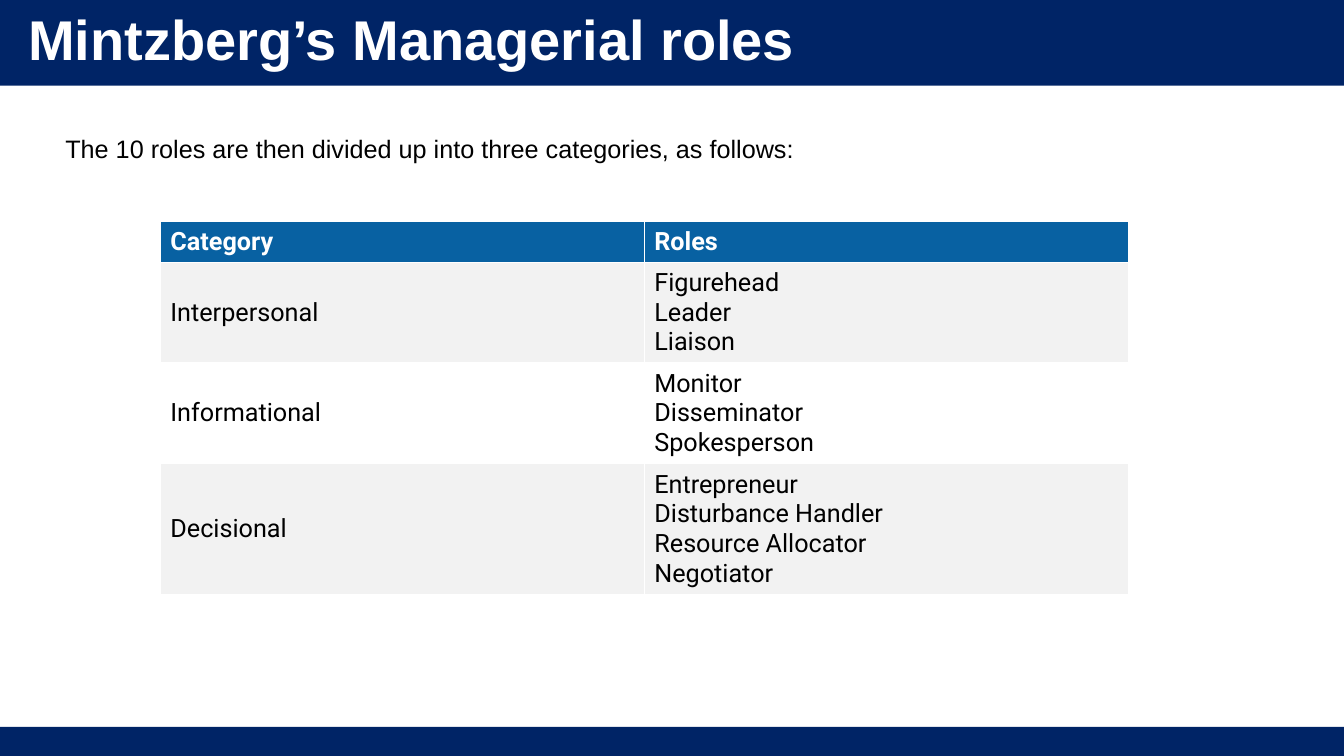
from lxml.etree import SubElement
from pptx import Presentation
from pptx.dml.color import RGBColor
from pptx.enum.shapes import MSO_SHAPE
from pptx.enum.text import MSO_ANCHOR, MSO_AUTO_SIZE, PP_ALIGN
from pptx.oxml.ns import qn
from pptx.util import Inches, Pt

TITLE = "Mintzberg’s Managerial roles"
INTRO = "The 10 roles are then divided up into three categories, as follows:"
HEADER = ("Category", "Roles")
ROLES = {
    "Interpersonal": ["Figurehead", "Leader", "Liaison"],
    "Informational": ["Monitor", "Disseminator", "Spokesperson"],
    "Decisional": ["Entrepreneur", "Disturbance Handler", "Resource Allocator", "Negotiator"],
}
BANDS = [(0, 0.85), (7.21, 0.29)]
ROW_HEIGHTS = [0.4, 1, 1, 1.3]
COLUMN_WIDTH = 4.8

NAVY = RGBColor(0x00, 0x24, 0x66)
BLUE = RGBColor(0x08, 0x61, 0xA2)
GREY = RGBColor(0xF2, 0xF2, 0xF2)
WHITE = RGBColor(0xFF, 0xFF, 0xFF)
BLACK = RGBColor(0x00, 0x00, 0x00)

TITLE_FONT = {"name": "Arial", "size": Pt(40), "bold": True}
INTRO_FONT = {"name": "Arial", "size": Pt(18), "bold": False}
HEADER_FONT = {"name": "Roboto", "size": Pt(18), "bold": True}
BODY_FONT = {"name": "Roboto", "size": Pt(18), "bold": False}


def write(tf, text, font, color):
    tf.text = text
    p = tf.paragraphs[0]
    p.alignment = PP_ALIGN.LEFT
    for r in p.runs:
        for name, value in font.items():
            setattr(r.font, name, value)
        r.font.color.rgb = color
    return p


def add_borders(cell):
    tcPr = cell._tc.get_or_add_tcPr()
    for side in ("lnL", "lnR", "lnT", "lnB"):
        line = SubElement(tcPr, qn(f"a:{side}"), w=str(Pt(0.75)))
        fill = SubElement(line, qn("a:solidFill"))
        SubElement(fill, qn("a:srgbClr"), val=str(WHITE))


def add_bands(s):
    for top, height in BANDS:
        sp = s.shapes.add_shape(MSO_SHAPE.RECTANGLE, 0, Inches(top), Inches(13.33), Inches(height))
        sp.shadow.inherit = False
        sp.fill.solid()
        sp.fill.fore_color.rgb = NAVY
        sp.line.fill.background()
        s.shapes._spTree.insert(2, sp._element)


def add_title(s):
    title = s.shapes.title
    title.left, title.top, title.width, title.height = map(Inches, (0.18, 0.14, 7.82, 0.57))
    tf = title.text_frame
    tf.vertical_anchor = MSO_ANCHOR.MIDDLE
    tf.auto_size = MSO_AUTO_SIZE.NONE
    write(tf, TITLE, TITLE_FONT, WHITE).line_spacing = 0.9


def add_roles_table(s):
    rows = [HEADER] + [(category, "\v".join(roles)) for category, roles in ROLES.items()]
    size = map(Inches, (1.59, 2.2, COLUMN_WIDTH * len(HEADER), sum(ROW_HEIGHTS)))
    table = s.shapes.add_table(len(rows), len(HEADER), *size).table
    for column in table.columns:
        column.width = Inches(COLUMN_WIDTH)
    for i, (row, height) in enumerate(zip(rows, ROW_HEIGHTS)):
        table.rows[i].height = Inches(height)
        font, color = (HEADER_FONT, WHITE) if i == 0 else (BODY_FONT, BLACK)
        fill = BLUE if i == 0 else GREY if i % 2 else WHITE
        for j, text in enumerate(row):
            cell = table.cell(i, j)
            cell.vertical_anchor = MSO_ANCHOR.MIDDLE
            write(cell.text_frame, text, font, color)
            add_borders(cell)
            cell.fill.solid()
            cell.fill.fore_color.rgb = fill


def add_intro(s):
    tf = s.shapes.add_textbox(*map(Inches, (0.55, 1.27, 7.49, 0.4))).text_frame
    tf.word_wrap = False
    tf.auto_size = MSO_AUTO_SIZE.SHAPE_TO_FIT_TEXT
    write(tf, INTRO, INTRO_FONT, BLACK)


def main():
    prs = Presentation()
    prs.slide_width, prs.slide_height = Inches(13.33), Inches(7.5)
    s = prs.slides.add_slide(prs.slide_layouts[5])
    add_bands(s)
    add_title(s)
    add_roles_table(s)
    add_intro(s)
    prs.save("out.pptx")


if __name__ == "__main__":
    main()
